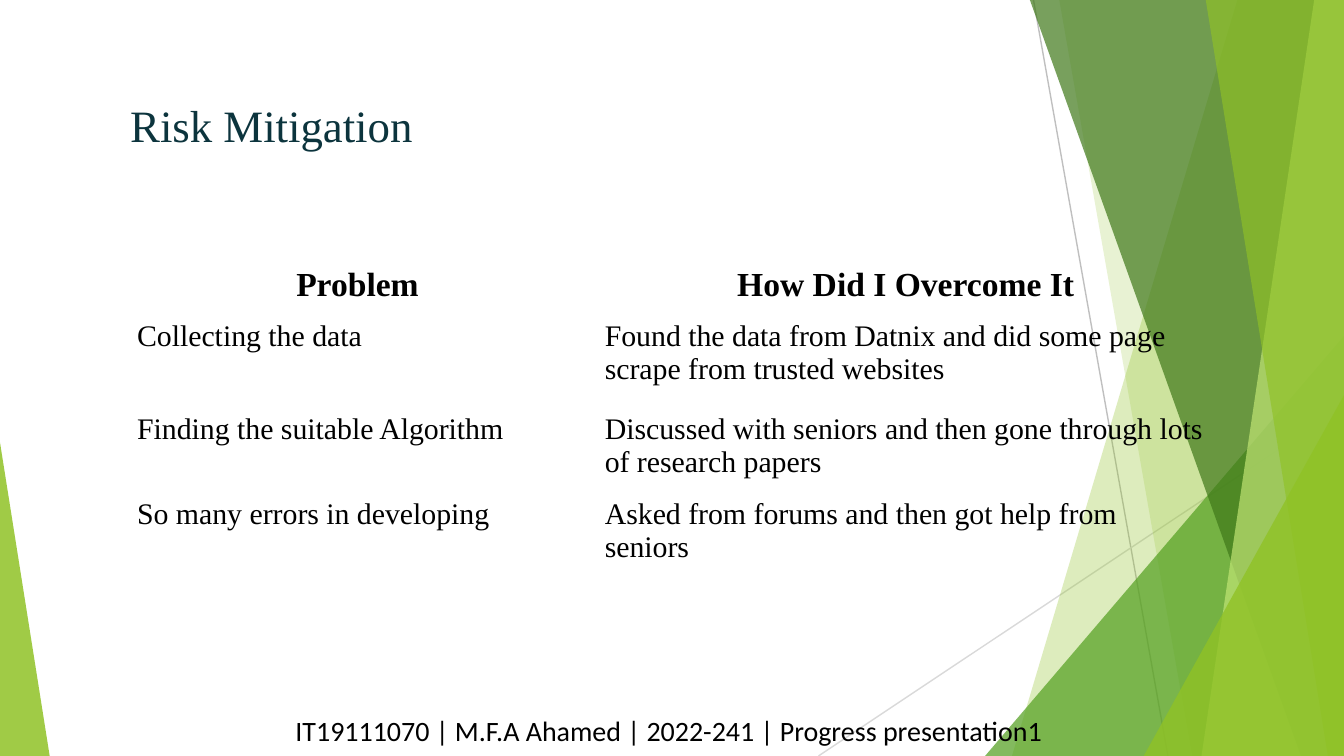
from lxml.etree import SubElement
from pptx import Presentation
from pptx.dml.color import RGBColor
from pptx.enum.shapes import MSO_CONNECTOR, MSO_SHAPE
from pptx.enum.text import MSO_ANCHOR as Anchor, PP_ALIGN as Align
from pptx.oxml.ns import qn
from pptx.util import Inches, Pt

COLORS = {
    "lime": "90C226", "green": "54A021", "forest": "3F7819", "pale": "C0E474",
    "gray": "BFBFBF", "silver": "D9D9D9", "teal": "0C343D", "black": "000000",
}
SERIF = "Times New Roman"
PLAIN_TABLE = "{2D5ABB26-0587-4C30-8999-92F81FD0307C}"  # no style, no grid
RIGHT = 10
TOP, BOTTOM = -0.01, RIGHT * 9 / 16


def rgb(name):
    return RGBColor.from_string(COLORS[name])


def write(frame, text, size=16, font=SERIF, color="black", bold=False,
          align=Align.LEFT, spacing=None):
    paragraph = frame.paragraphs[0]
    paragraph.alignment = align
    if spacing:
        paragraph.line_spacing = spacing
    run = paragraph.add_run()
    run.text = text
    run.font.size = Pt(size)
    run.font.name = font
    run.font.bold = bold
    run.font.color.rgb = rgb(color)


class SlideBuilder:
    def __init__(self, slide):
        self.slide = slide
        self.shapes = slide.shapes

    def line(self, start, end, color):
        points = [Inches(value) for value in (*start, *end)]
        connector = self.shapes.add_connector(MSO_CONNECTOR.STRAIGHT, *points)
        connector.line.color.rgb = rgb(color)
        connector.line.width = Pt(0.75)
        SubElement(connector._element.spPr, qn("a:effectLst"))

    def paint(self, shape, color, opacity):
        shape.shadow.inherit = False
        shape.line.fill.background()
        shape.fill.solid()
        shape.fill.fore_color.rgb = rgb(color)
        color_element = shape._element.spPr.find(qn("a:solidFill"))[0]
        SubElement(color_element, qn("a:alpha"), val=str(opacity * 1000))

    def band(self, top_left, bottom_left, color, opacity):
        """Slanted band that reaches the right edge of the slide."""
        corners = [(RIGHT, TOP), (RIGHT, BOTTOM), (bottom_left, BOTTOM)]
        builder = self.shapes.build_freeform(Inches(top_left), Inches(TOP))
        builder.add_line_segments([(Inches(x), Inches(y)) for x, y in corners])
        self.paint(builder.convert_to_shape(), color, opacity)

    def triangle(self, left, top, width, apex, color, opacity):
        """Right triangle that stands on the bottom edge of the slide."""
        box = (left, top, width, BOTTOM - top)
        shape = self.shapes.add_shape(
            MSO_SHAPE.ISOSCELES_TRIANGLE, *map(Inches, box))
        shape.adjustments[0] = apex
        self.paint(shape, color, opacity)

    def text(self, box, text, anchor=Anchor.TOP, **style):
        frame = self.shapes.add_textbox(*map(Inches, box)).text_frame
        frame.word_wrap = True
        frame.vertical_anchor = anchor
        frame.margin_left = frame.margin_right = Inches(0.1)
        frame.margin_top = frame.margin_bottom = Inches(0.1)
        write(frame, text, **style)

    def table(self, box, widths, heights, rows):
        table_frame = self.shapes.add_table(
            len(rows), len(widths), *map(Inches, box))
        table = table_frame.table
        table._tbl.tblPr.find(qn("a:tableStyleId")).text = PLAIN_TABLE
        for column, width in zip(table.columns, widths):
            column.width = Inches(width)
        for row, height in zip(table.rows, heights):
            row.height = Inches(height)
        # Row and column sizes reset the frame, so its size is set last
        table_frame.width, table_frame.height = map(Inches, box[2:])
        header = dict(size=18, bold=True, align=Align.CENTER)
        for row_index, texts in enumerate(rows):
            for column_index, text in enumerate(texts):
                cell = table.cell(row_index, column_index)
                cell.fill.background()
                style = header if row_index == 0 else {}
                write(cell.text_frame, text, **style)


def main():
    presentation = Presentation()
    presentation.slide_width = Inches(RIGHT)
    presentation.slide_height = Inches(BOTTOM)
    builder = SlideBuilder(
        presentation.slides.add_slide(presentation.slide_layouts[6]))

    # Background facets
    builder.line((7.69, 0), (8.69, BOTTOM), "gray")
    builder.line((RIGHT, 3.02), (6.09, BOTTOM), "silver")
    builder.band(9.21, 7.53, "lime", 30)
    builder.band(7.88, 8.87, "lime", 20)
    builder.triangle(7.33, 2.5, 2.67, 1, "green", 72)
    builder.band(7.66, 9.68, "forest", 70)
    builder.band(9.78, 8.94, "pale", 70)
    builder.band(8.97, 9.88, "lime", 65)
    builder.triangle(8.51, 2.94, 1.49, 1, "lime", 80)
    builder.triangle(0, 3.29, 0.37, 0, "lime", 85)

    # Title
    builder.text((0.87, 0.61, 6.49, 0.64), "Risk Mitigation",
                 anchor=Anchor.MIDDLE, size=24, color="teal")

    # Problems and solutions
    builder.table((0.92, 1.93, 8.17, 2.35), (3.48, 4.68), (0.21, 0.69, 0.49, 0.49), [
        ("Problem", "How Did I Overcome It"),
        ("Collecting the data",
         "Found the data from Datnix and did some page scrape from trusted websites"),
        ("Finding the suitable Algorithm",
         "Discussed with seniors and then gone through lots of research papers"),
        ("So many errors in developing",
         "Asked from forums and then got help from seniors"),
    ])

    # Footer
    builder.text((2.1, 5.17, 5.81, 0.45),
                 "IT19111070 | M.F.A Ahamed | 2022-241 | Progress presentation1",
                 size=15, font="Calibri", spacing=1.15)

    presentation.save("out.pptx")


if __name__ == "__main__":
    main()
